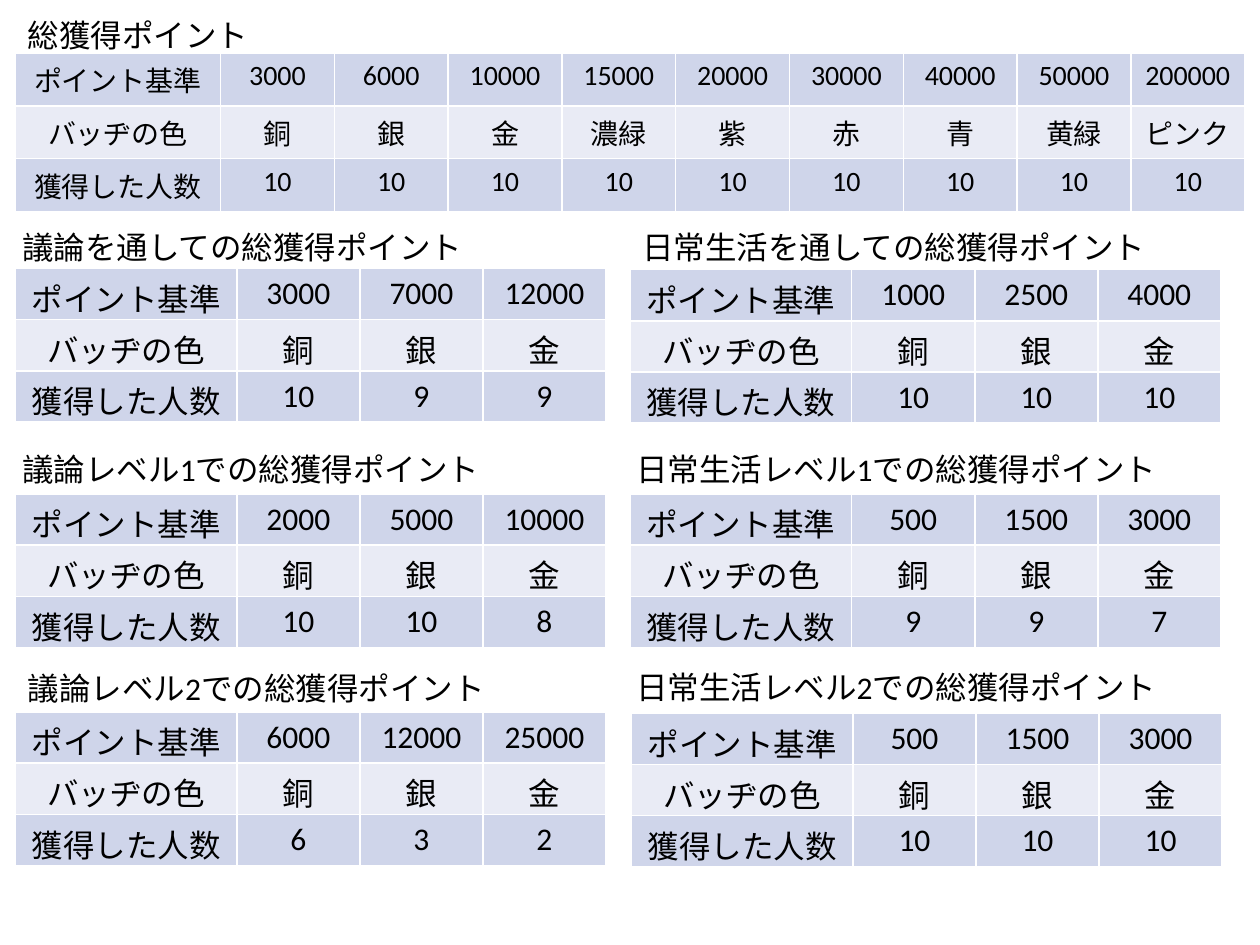
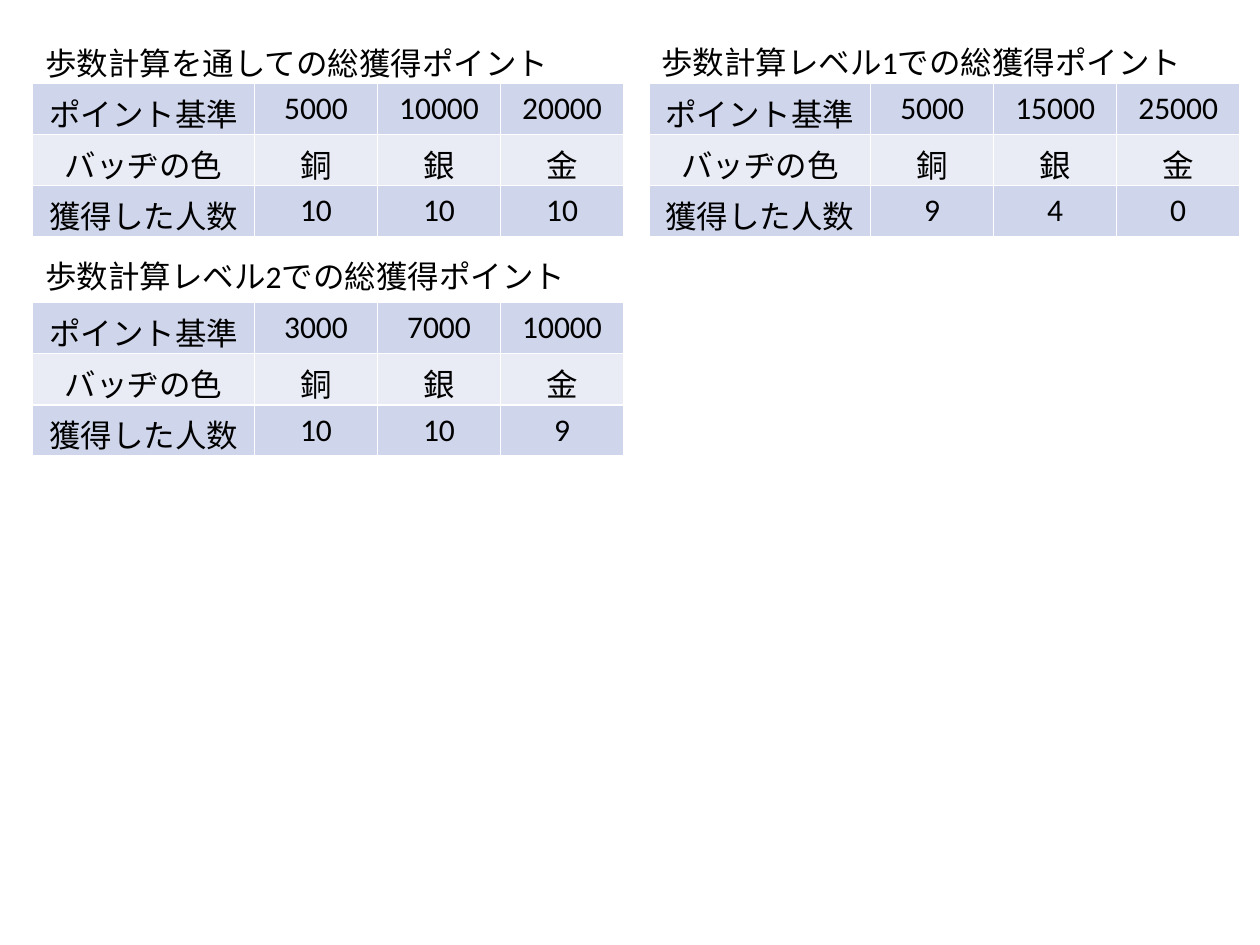
"""Build two slides of badge tables with their headings."""
from dataclasses import dataclass

from lxml.etree import SubElement
from pptx import Presentation
from pptx.dml.color import RGBColor
from pptx.enum.text import MSO_AUTO_SIZE, PP_ALIGN
from pptx.oxml.ns import qn
from pptx.slide import Slide
from pptx.table import _Cell
from pptx.util import Inches, Pt

CENTER, LEFT = PP_ALIGN.CENTER, PP_ALIGN.LEFT
GROW = MSO_AUTO_SIZE.SHAPE_TO_FIT_TEXT
SIDES = ("a:lnL", "a:lnR", "a:lnT", "a:lnB")
HEADS = ("ポイント基準", "バッヂの色", "獲得した人数")
MEDALS = ("銅", "銀", "金")
COLORS = MEDALS + ("濃緑", "紫", "赤", "青", "黄緑", "ピンク")


@dataclass(frozen=True)
class Theme:
    """Colours, font and type sizes."""
    font: str = "Calibri"
    ink: str = "000000"
    line: str = "FFFFFF"
    bands: tuple[str, str] = ("CFD5EA", "E9EBF5")
    title: int = 18
    dense: int = 16
    edge: int = 1


@dataclass(frozen=True)
class Grid:
    """Size of a table."""
    width: float
    first: float
    height: float
    size: int


@dataclass(frozen=True)
class Board:
    """A heading with its box, and the table below it."""
    title: str
    box: tuple[float, float, float]
    left: float
    top: float
    marks: tuple[int, ...]
    counts: tuple[int, ...]


THEME = Theme()
WIDE = Grid(9.76, 1.63, 1.26, THEME.dense)
SMALL = Grid(4.69, 1.76, 1.22, THEME.title)

PAGES = (
    (
        Board("総獲得ポイント", (0.12, 0.08, 2.25), 0.12, 0.42,
              (3000, 6000, 10000, 15000, 20000, 30000, 40000, 50000, 200000),
              (10,) * 9),
        Board("議論を通しての総獲得ポイント", (0.08, 1.76, 4.06), 0.12, 2.13,
              (3000, 7000, 12000), (10, 9, 9)),
        Board("議論レベル1での総獲得ポイント", (0.08, 3.52, 4.21), 0.12, 3.92,
              (2000, 5000, 10000), (10, 10, 8)),
        Board("議論レベル2での総獲得ポイント", (0.12, 5.26, 4.21), 0.12, 5.65,
              (6000, 12000, 25000), (6, 3, 2)),
        Board("日常生活を通しての総獲得ポイント", (5, 1.76, 4.41), 5, 2.14,
              (1000, 2500, 4000), (10, 10, 10)),
        Board("日常生活レベル1での総獲得ポイント", (4.95, 3.52, 4.46), 5, 3.92,
              (500, 1500, 3000), (9, 9, 7)),
        Board("日常生活レベル2での総獲得ポイント", (4.95, 5.25, 4.72), 5.01, 5.66,
              (500, 1500, 3000), (10, 10, 10)),
    ),
    (
        Board("歩数計算を通しての総獲得ポイント", (0.26, 0.3, 4.59), 0.26, 0.66,
              (5000, 10000, 20000), (10, 10, 10)),
        Board("歩数計算レベル1での総獲得ポイント", (5.15, 0.29, 4.54), 5.15, 0.66,
              (5000, 15000, 25000), (9, 4, 0)),
        Board("歩数計算レベル2での総獲得ポイント", (0.26, 1.99, 4.54), 0.26, 2.4,
              (3000, 7000, 10000), (10, 10, 9)),
    ),
)


def write(frame, text: str, size: int, align: PP_ALIGN) -> None:
    """Put one styled paragraph in a text frame."""
    para = frame.paragraphs[0]
    para.alignment = align
    run = para.add_run()
    run.text = text
    for name, value in {"name": THEME.font, "size": Pt(size), "bold": False}.items():
        setattr(run.font, name, value)
    run.font.color.rgb = RGBColor.from_string(THEME.ink)


def paint(cell: _Cell, fill: str) -> None:
    """Give a cell its borders and its fill."""
    props = cell._tc.get_or_add_tcPr()
    for side in SIDES:
        line = SubElement(props, qn(side), w=str(Pt(THEME.edge)))
        solid = SubElement(line, qn("a:solidFill"))
        SubElement(solid, qn("a:srgbClr"), val=THEME.line)
    cell.fill.solid()
    cell.fill.fore_color.rgb = RGBColor.from_string(fill)


def add_title(slide: Slide, board: Board) -> None:
    """Draw the heading of a board."""
    left, top, width = map(Inches, board.box)
    frame = slide.shapes.add_textbox(left, top, width, Inches(0.4)).text_frame
    for name, value in {"word_wrap": True, "auto_size": GROW}.items():
        setattr(frame, name, value)
    write(frame, board.title, THEME.title, LEFT)


def add_grid(slide: Slide, board: Board) -> None:
    """Draw the table of a board."""
    count = len(board.marks)
    grid = SMALL if count == len(MEDALS) else WIDE
    rows = (board.marks, COLORS[:count], board.counts)
    table = slide.shapes.add_table(
        len(rows), count + 1, Inches(board.left), Inches(board.top),
        Inches(grid.width), Inches(grid.height)).table
    for name in ("first_row", "horz_banding"):
        setattr(table, name, False)
    step = (grid.width - grid.first) / count
    for spot, col in enumerate(table.columns):
        col.width = Inches(step if spot else grid.first)
    for down, (head, row) in enumerate(zip(HEADS, rows)):
        for across, value in enumerate((head, *row)):
            cell = table.cell(down, across)
            paint(cell, THEME.bands[down % 2])
            write(cell.text_frame, str(value), grid.size, CENTER)


def main() -> None:
    """Build and save the deck."""
    deck = Presentation()
    deck.slide_width, deck.slide_height = Inches(10), Inches(7.5)
    for page in PAGES:
        slide = deck.slides.add_slide(deck.slide_layouts[6])
        for board in page:
            add_title(slide, board)
            add_grid(slide, board)
    deck.save("out.pptx")


if __name__ == "__main__":
    main()
